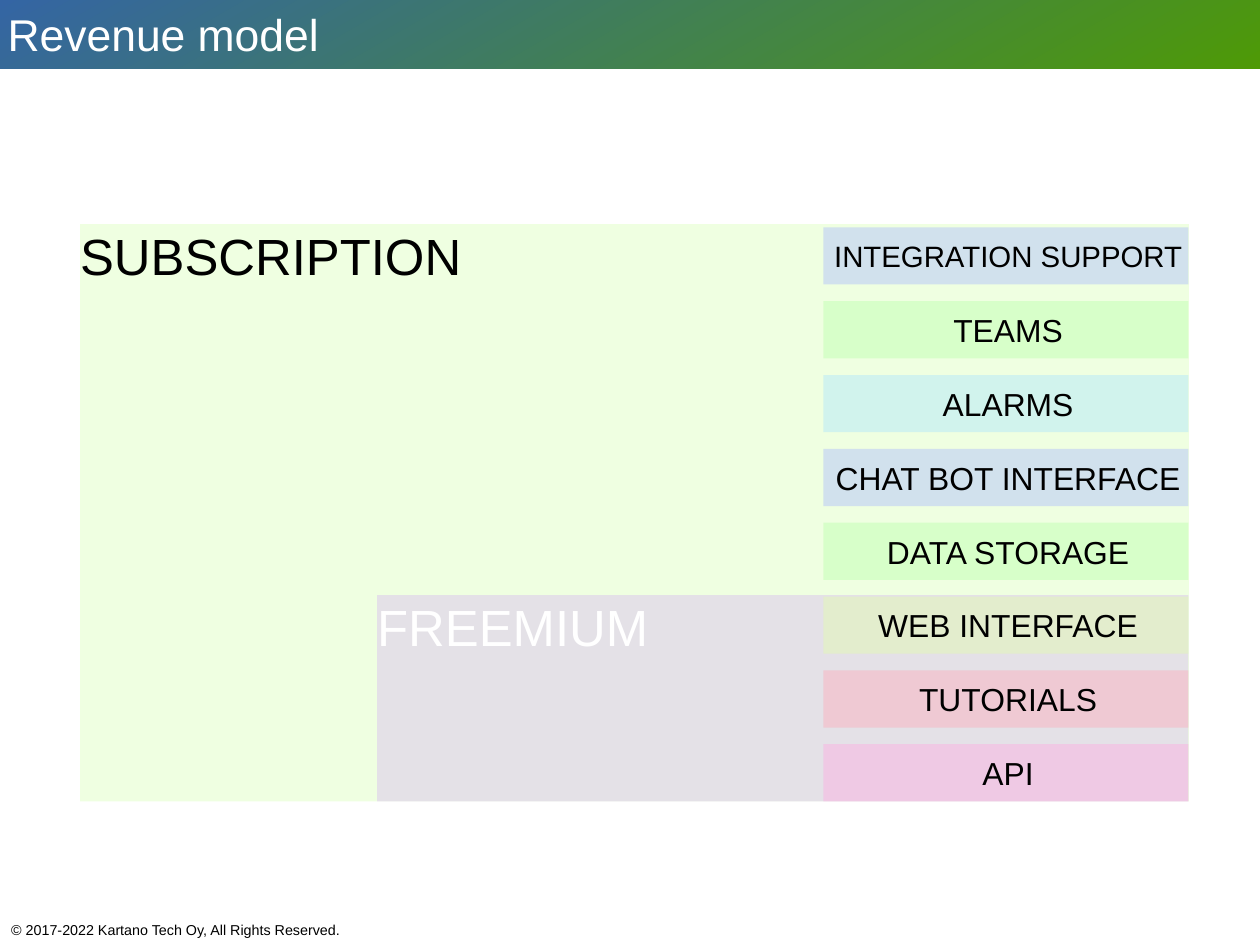
from dataclasses import dataclass

from lxml import etree
from pptx import Presentation
from pptx.dml.color import RGBColor
from pptx.enum.shapes import MSO_SHAPE
from pptx.enum.text import MSO_ANCHOR, PP_ALIGN
from pptx.oxml.ns import qn
from pptx.util import Cm, Pt

RECT = MSO_SHAPE.RECTANGLE
TOP, MIDDLE = MSO_ANCHOR.TOP, MSO_ANCHOR.MIDDLE
LEFT, CENTER = PP_ALIGN.LEFT, PP_ALIGN.CENTER


@dataclass(frozen=True)
class Theme:
    font: str = "Arial"
    dark: str = "000000"
    light: str = "FFFFFF"
    bar_start: str = "3465A4"
    bar_end: str = "4E9A06"
    subscription: str = "B6FF75"
    freemium: str = "BF75FF"
    blue: str = "A8B7FF"
    cyan: str = "A8E2FF"
    green: str = "B7FFA8"
    yellow: str = "E2FFA8"
    red: str = "FFA8B7"
    pink: str = "FFA8E2"
    title_size: float = 28
    tier_size: float = 32
    feature_size: float = 20
    feature_small: float = 18.5
    footer_size: float = 9
    tier_opacity: int = 21
    feature_opacity: int = 41


@dataclass(frozen=True)
class Box:
    left: float
    top: float
    width: float
    height: float


@dataclass(frozen=True)
class Label:
    text: str
    size: float
    color: str
    inset_left: float = 0
    inset_top: float = 0
    align: PP_ALIGN = LEFT
    anchor: MSO_ANCHOR = TOP
    wrap: bool = True


@dataclass(frozen=True)
class Tier:
    name: str
    box: Box
    fill: str
    text_color: str


@dataclass(frozen=True)
class Feature:
    name: str
    fill: str
    size: float = Theme.feature_size


THEME = Theme()
SLIDE_WIDTH, SLIDE_HEIGHT = 27.99, 21.01
FEATURE_LEFT, FEATURE_TOP, FEATURE_WIDTH, FEATURE_HEIGHT = 18.29, 5.05, 8.11, 1.27
FEATURE_PITCH = 1.64

TIERS = [
    Tier("SUBSCRIPTION", Box(1.78, 4.98, 24.63, 12.82), THEME.subscription, THEME.dark),
    Tier("FREEMIUM", Box(8.38, 13.22, 18.02, 4.58), THEME.freemium, THEME.light),
]
FEATURES = [
    Feature("INTEGRATION SUPPORT", THEME.blue, THEME.feature_small),
    Feature("TEAMS", THEME.green),
    Feature("ALARMS", THEME.cyan),
    Feature("CHAT BOT INTERFACE", THEME.blue),
    Feature("DATA STORAGE", THEME.green),
    Feature("WEB INTERFACE", THEME.yellow),
    Feature("TUTORIALS", THEME.red),
    Feature("API", THEME.pink),
]


def bounds(box: Box) -> tuple:
    return Cm(box.left), Cm(box.top), Cm(box.width), Cm(box.height)


def write_label(sp, label: Label) -> None:
    tf = sp.text_frame
    tf.margin_left, tf.margin_top = Cm(label.inset_left), Cm(label.inset_top)
    tf.margin_right = tf.margin_bottom = 0
    tf.word_wrap = label.wrap
    tf.vertical_anchor = label.anchor
    p = tf.paragraphs[0]
    p.text = label.text
    p.alignment = label.align
    p.font.name = THEME.font
    p.font.size = Pt(label.size)
    p.font.color.rgb = RGBColor.from_string(label.color)


def add_rect(slide, box: Box):
    sp = slide.shapes.add_shape(RECT, *bounds(box))
    sp.shadow.inherit = False
    sp.line.fill.background()
    return sp


def add_panel(slide, box: Box, color: str, opacity: int, label: Label) -> None:
    sp = add_rect(slide, box)
    sp.fill.solid()
    sp.fill.fore_color.rgb = RGBColor.from_string(color)
    clr = sp.element.spPr.find(qn("a:solidFill")).find(qn("a:srgbClr"))
    etree.SubElement(clr, qn("a:alpha")).set("val", str(opacity * 1000))
    write_label(sp, label)


def add_title_bar(slide, box: Box) -> None:
    sp = add_rect(slide, box)
    sp.fill.gradient()
    sp.fill.gradient_angle = 300
    for stop, color in zip(sp.fill.gradient_stops, (THEME.bar_start, THEME.bar_end)):
        stop.color.rgb = RGBColor.from_string(color)


def add_text(slide, box: Box, label: Label) -> None:
    write_label(slide.shapes.add_textbox(*bounds(box)), label)


def main() -> None:
    prs = Presentation()
    prs.slide_width, prs.slide_height = Cm(SLIDE_WIDTH), Cm(SLIDE_HEIGHT)
    slide = prs.slides.add_slide(prs.slide_layouts[6])

    add_title_bar(slide, Box(0, 0, 28.04, 1.53))
    for tier in TIERS:
        label = Label(tier.name, THEME.tier_size, tier.text_color)
        add_panel(slide, tier.box, tier.fill, THEME.tier_opacity, label)
    for i, feature in enumerate(FEATURES):
        box = Box(FEATURE_LEFT, FEATURE_TOP + i * FEATURE_PITCH,
                  FEATURE_WIDTH, FEATURE_HEIGHT)
        label = Label(feature.name, feature.size, THEME.dark,
                      inset_left=0.1, align=CENTER, anchor=MIDDLE)
        add_panel(slide, box, feature.fill, THEME.feature_opacity, label)

    add_text(slide, Box(0, 0.03, 7.87, 1.57),
             Label("Revenue model", THEME.title_size, THEME.light, 0.17, 0.13, wrap=False))
    add_text(slide, Box(0, 20.33, 9.65, 0.68),
             Label("© 2017-2022 Kartano Tech Oy, All Rights Reserved.",
                   THEME.footer_size, THEME.dark, 0.25, 0.13))
    prs.save("out.pptx")


if __name__ == "__main__":
    main()
